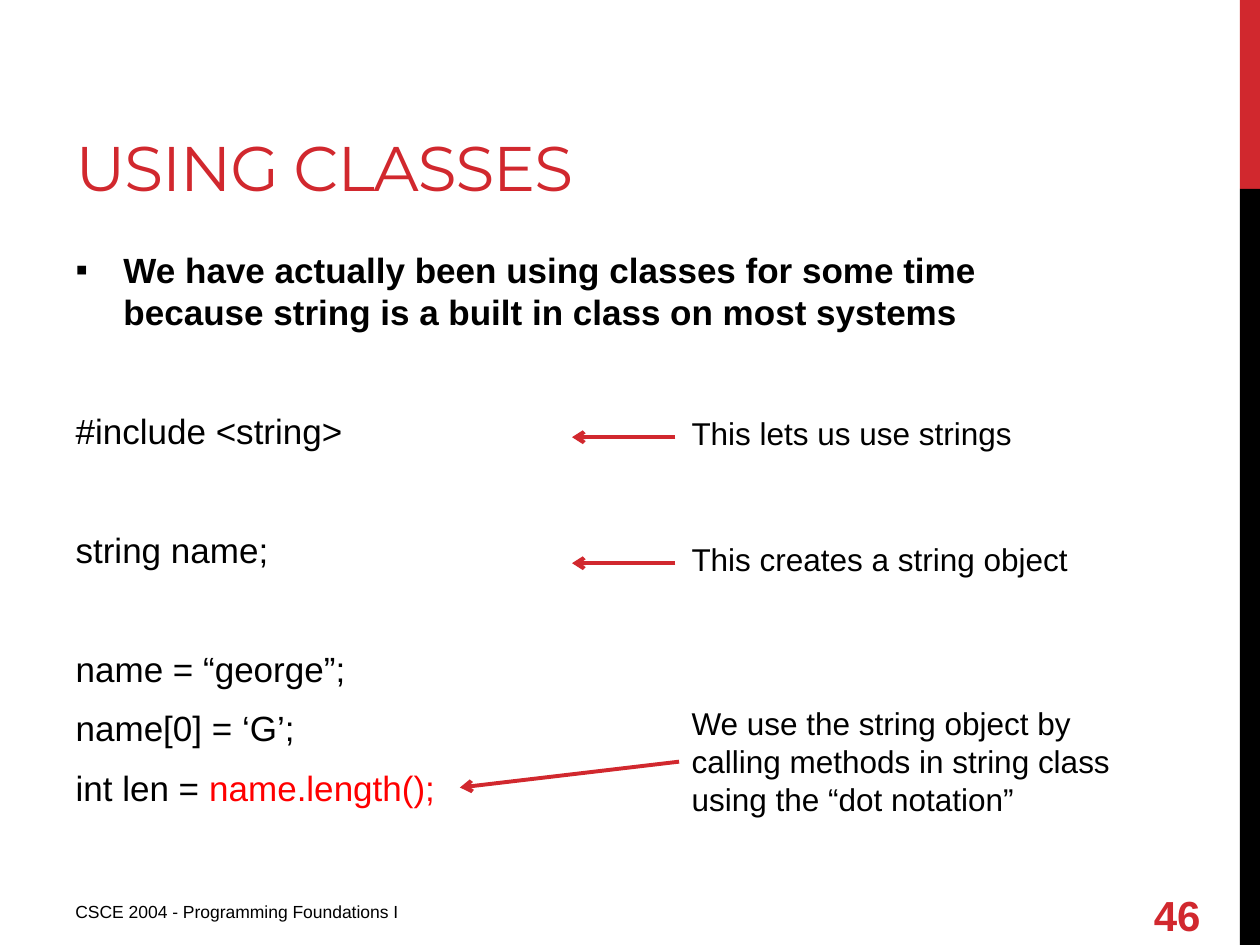
"""Build the slide on using classes, with annotated string code."""
import pptx
import pptx.dml.color
import pptx.enum.shapes
import pptx.enum.text
import pptx.oxml.ns
import pptx.util
from lxml import etree

W, H = 10, 7.5
LEFT, NOTE_LEFT = 0.05 * W, 5.39
RED, BLACK, BRIGHT = "D1282E", "000000", "FF0000"
SPACE, BLANK = 4, 34
TITLE = "USING CLASSES"
BULLET = ("We have actually been using classes for some time "
          "because string is a built in class on most systems")
CODE = [
    (True, [("#include <string>", BLACK)]),
    (True, [("string name;", BLACK)]),
    (True, [("name = “george”;", BLACK)]),
    (False, [("name[0] = ‘G’;", BLACK)]),
    (False, [("int len = ", BLACK), ("name.length();", BRIGHT)]),
]
BARS = [(0, 0.2, RED), (0.2, 0.8, BLACK)]
LABELS = [
    ("CSCE 2004 - Programming Foundations I", (LEFT, 7.1, 3.75, 0.31), 10, BLACK, False),
    ("46", (9.06, 7.06, 0.74, 0.4), 24, RED, True),
]
NOTES = [
    ("This lets us use strings", 3.24, 3.44, 0.4, (5.36, 3.47), (4.54, 3.47)),
    ("This creates a string object", 4.24, 3.44, 0.4, (5.36, 4.47), (4.54, 4.47)),
    ("We use the string object by calling methods in string class using the “dot notation”",
     5.54, 3.79, 1.01, None, (3.65, 6.25)),
]


def rgb(value):
    return pptx.dml.color.RGBColor.from_string(value)


def inches(*values):
    return [pptx.util.Inches(v) for v in values]


def place(sp, box):
    sp.left, sp.top, sp.width, sp.height = inches(*box)


def add_run(p, text, size, color, bold=False, font="Arial"):
    r = p.add_run()
    r.text = text
    r.font.name, r.font.size, r.font.bold = font, pptx.util.Pt(size), bold
    r.font.color.rgb = rgb(color)
    return r


def set_bullet(p, char=None, indent=0):
    pPr = p._p.get_or_add_pPr()
    pPr.set("marL", str(pptx.util.Inches(indent)))
    pPr.set("indent", str(-pptx.util.Inches(indent)))
    if char:
        font = etree.SubElement(pPr, pptx.oxml.ns.qn("a:buFont"))
        font.set("typeface", "Arial")
        etree.SubElement(pPr, pptx.oxml.ns.qn("a:buChar")).set("char", char)
    else:
        etree.SubElement(pPr, pptx.oxml.ns.qn("a:buNone"))


def add_label(s, text, box, size, color, bold=False):
    sp = s.shapes.add_textbox(*inches(*box))
    tf = sp.text_frame
    tf.word_wrap = True
    add_run(tf.paragraphs[0], text, size, color, bold)
    return sp


def add_arrow(s, start, end):
    sp = s.shapes.add_connector(
        pptx.enum.shapes.MSO_CONNECTOR.STRAIGHT, *inches(*start, *end))
    sp.line.color.rgb = rgb(RED)
    sp.line.width = pptx.util.Pt(2.25)
    ln = sp.line._get_or_add_ln()
    etree.SubElement(ln, pptx.oxml.ns.qn("a:tailEnd")).set("type", "arrow")
    etree.SubElement(sp._element.spPr, pptx.oxml.ns.qn("a:effectLst"))
    return sp


def add_title(s):
    sp = s.shapes.title
    place(sp, (LEFT, 0.17, 6.33, 1.5))
    tf = sp.text_frame
    tf.auto_size = pptx.enum.text.MSO_AUTO_SIZE.NONE
    tf.vertical_anchor = pptx.enum.text.MSO_ANCHOR.BOTTOM
    p = tf.paragraphs[0]
    p.alignment = pptx.enum.text.PP_ALIGN.LEFT
    r = add_run(p, TITLE, 36, RED, font="Montserrat")
    r._r.get_or_add_rPr().set("spc", "-60")


def add_body(s):
    sp = s.placeholders[1]
    place(sp, (LEFT, 1.92, 8.33, 4.78))
    tf = sp.text_frame
    tf.auto_size = pptx.enum.text.MSO_AUTO_SIZE.NONE
    p = tf.paragraphs[0]
    set_bullet(p, "▪", 0.38)
    p.space_before, p.space_after = pptx.util.Pt(0), pptx.util.Pt(6)
    add_run(p, BULLET, 20, BLACK, True)
    for gap, runs in CODE:
        p = tf.add_paragraph()
        set_bullet(p)
        p.space_before = pptx.util.Pt(SPACE + BLANK * gap)
        p.space_after = pptx.util.Pt(6)
        for text, color in runs:
            add_run(p, text, 20, color)


def main():
    prs = pptx.Presentation()
    prs.slide_width, prs.slide_height = inches(W, H)
    s = prs.slides.add_slide(prs.slide_layouts[1])
    for top, share, color in BARS:
        sp = s.shapes.add_shape(
            pptx.enum.shapes.MSO_SHAPE.RECTANGLE,
            *inches(0.984 * W, top * H, 0.016 * W, share * H))
        sp.shadow.inherit = False
        sp.fill.solid()
        sp.fill.fore_color.rgb = rgb(color)
        sp.line.fill.background()
    add_title(s)
    add_body(s)
    for label in LABELS:
        sp = add_label(s, *label)
    sp.text_frame.vertical_anchor = pptx.enum.text.MSO_ANCHOR.MIDDLE
    for text, top, width, height, start, end in NOTES:
        sp = add_label(s, text, (NOTE_LEFT, top, width, height), 18, BLACK)
        arrow = add_arrow(s, start or (NOTE_LEFT, top + height / 2), end)
        if start is None:
            arrow.begin_connect(sp, 1)
    prs.save("out.pptx")


if __name__ == "__main__":
    main()
